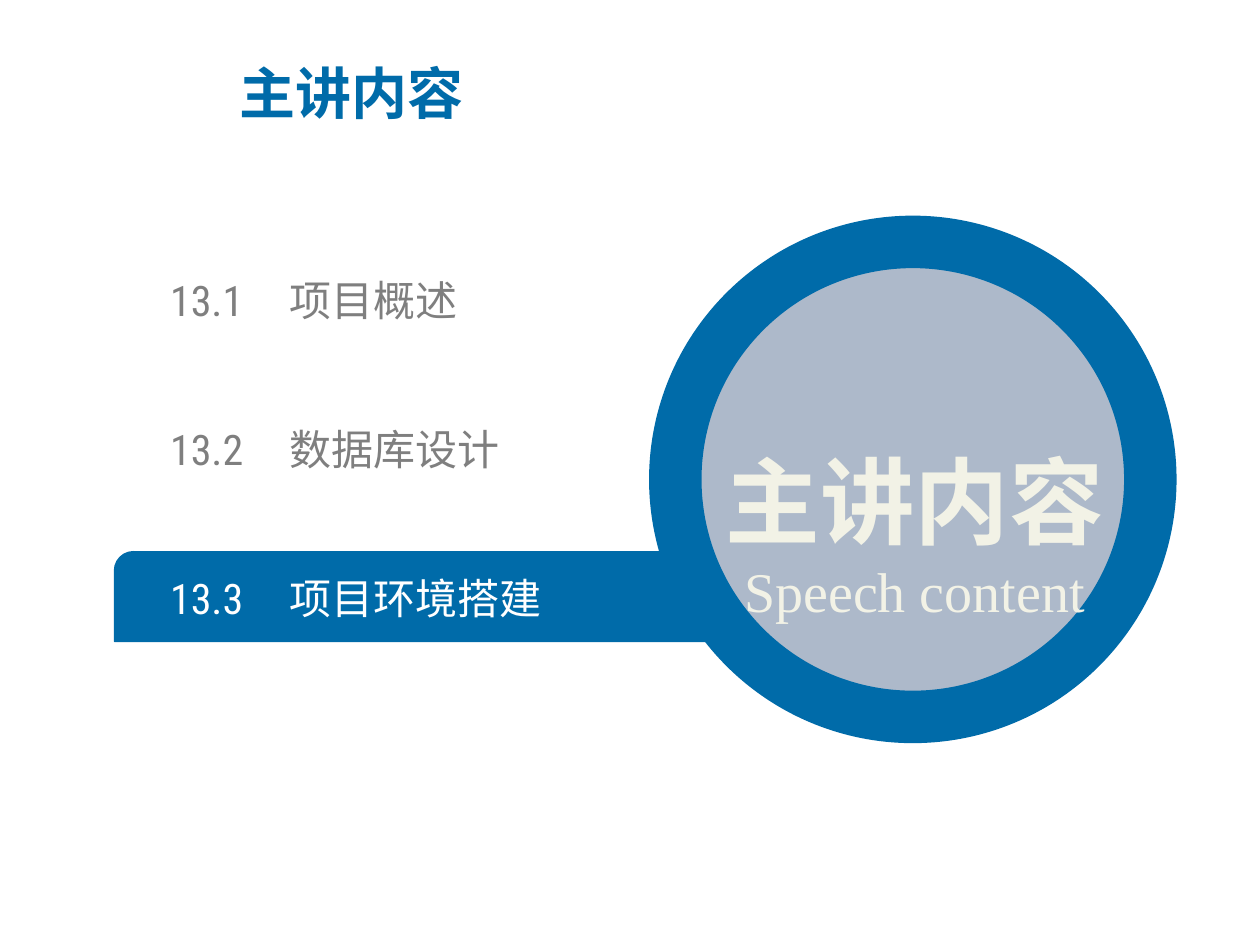
from lxml.etree import SubElement
from pptx import Presentation
from pptx.dml.color import RGBColor
from pptx.enum.shapes import MSO_SHAPE as Preset
from pptx.enum.text import MSO_ANCHOR as Anchor, MSO_AUTO_SIZE as AutoSize, PP_ALIGN as Align
from pptx.oxml.ns import qn
from pptx.util import Inches, Pt

COLORS = {"blue": "006BA9", "disc": "ADB9CA", "cream": "F2F2E6",
          "gray": "7F7F7F", "white": "FFFFFF"}
CJK_FONT = "Noto Sans CJK SC"
SECTIONS = [("13.1", "项目概述"), ("13.2", "数据库设计"), ("13.3", "项目环境搭建")]
ACTIVE_SECTION = 2


def color(name):
    return RGBColor.from_string(COLORS[name])


def set_attributes(target, values):
    for name, value in values.items():
        setattr(target, name, value)


def place(shape, left, top, width, height):
    set_attributes(shape, {"left": Inches(left), "top": Inches(top),
                           "width": Inches(width), "height": Inches(height)})


def write(paragraph, text, size, color_name, font=CJK_FONT, bold=False):
    run = paragraph.add_run()
    run.text = text
    set_attributes(run.font, {"name": font, "size": Pt(size), "bold": bold})
    run.font.color.rgb = color(color_name)
    SubElement(run.font._element, qn("a:ea"), typeface=CJK_FONT)


def add_text_box(slide, box, margin=None):
    frame = slide.shapes.add_textbox(*map(Inches, box)).text_frame
    set_attributes(frame, {"word_wrap": True, "vertical_anchor": Anchor.MIDDLE})
    if margin is not None:
        sides = ("left", "top", "right", "bottom")
        set_attributes(frame, {f"margin_{side}": Inches(margin) for side in sides})
    return frame


def add_filled_shape(slide, preset, box, fill, line, line_width):
    shape = slide.shapes.add_shape(preset, *map(Inches, box))
    shape.shadow.inherit = False
    shape.fill.solid()
    shape.fill.fore_color.rgb = color(fill)
    shape.line.color.rgb = color(line)
    shape.line.width = Pt(line_width)
    return shape


def add_title(slide, left, top, width, height):
    title = slide.shapes.title
    place(title, left, top, width, height)
    frame = title.text_frame
    set_attributes(frame, {"vertical_anchor": Anchor.MIDDLE, "auto_size": AutoSize.NONE})
    paragraph = frame.paragraphs[0]
    paragraph.alignment = Align.LEFT
    write(paragraph, "主讲内容", 32, "blue", bold=True)


def add_sections(slide, left, top, width, row_pitch):
    row_height, tab_stop = 0.4, 0.95
    # Bar behind the current section
    bar_box = (left - 0.44, top + ACTIVE_SECTION * row_pitch - 0.16, 6.25, 0.71)
    bar = add_filled_shape(slide, Preset.ROUND_2_DIAG_RECTANGLE, bar_box, "blue", "blue", 1)
    bar.adjustments[0] = 0.21
    bar.adjustments[1] = 0
    # Numbered rows, with the names aligned on a tab stop
    for index, (number, name) in enumerate(SECTIONS):
        frame = add_text_box(slide, (left, top + index * row_pitch, width, row_height), 0)
        paragraph = frame.paragraphs[0]
        tabs = SubElement(paragraph._p.get_or_add_pPr(), qn("a:tabLst"))
        SubElement(tabs, qn("a:tab"), pos=str(Inches(tab_stop)), algn="l")
        text_color = "white" if index == ACTIVE_SECTION else "gray"
        write(paragraph, f"{number}\t{name}", 24, text_color, "Roboto Condensed")


def add_emblem(slide, left, top, size):
    add_filled_shape(slide, Preset.OVAL, (left, top, size, size), "disc", "blue", 30)
    frame = add_text_box(slide, (left - 0.05, top + 1.09, size + 0.13, 2))
    heading, subtitle = frame.paragraphs[0], frame.add_paragraph()
    set_attributes(heading, {"alignment": Align.CENTER, "line_spacing": 1.5})
    subtitle.alignment = Align.CENTER
    write(heading, "主讲内容", 54, "cream", bold=True)
    write(subtitle, "Speech content", 32, "cream", "Times New Roman")


def main():
    presentation = Presentation()
    set_attributes(presentation, {"slide_width": Inches(10), "slide_height": Inches(7.5)})
    slide = presentation.slides.add_slide(presentation.slide_layouts[5])
    add_title(slide, 1.8, 0.43, 5.41, 0.61)
    add_sections(slide, 1.35, 2.18, 4.6, row_pitch=1.18)
    add_emblem(slide, 5.36, 1.92, 3.77)
    presentation.save("out.pptx")


if __name__ == "__main__":
    main()
